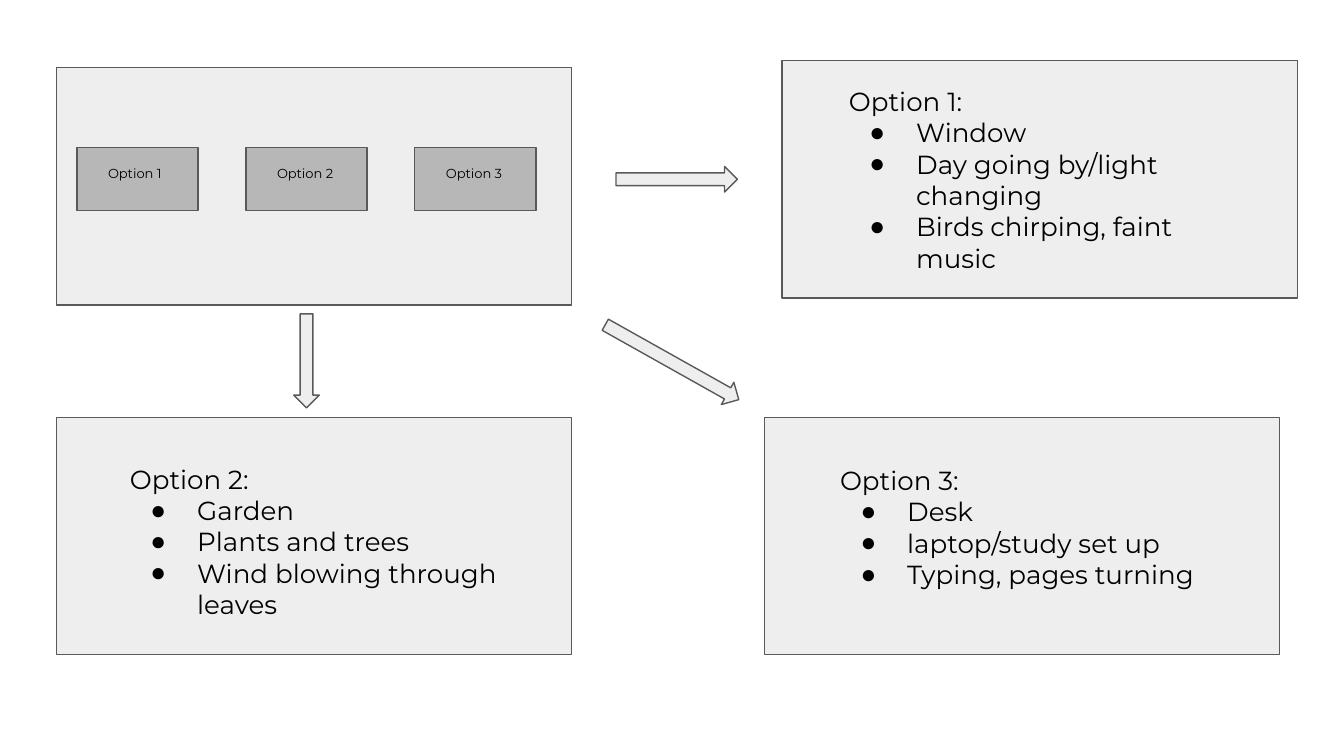
"""Build a slide that links a menu of three options to a panel for each one."""
import pptx
import pptx.util
import pptx.dml.color
import pptx.enum.shapes
import pptx.enum.text
import pptx.oxml.ns
import lxml.etree

Pt = pptx.util.Pt
KIND = pptx.enum.shapes.MSO_SHAPE
BLACK = pptx.dml.color.RGBColor(0x00, 0x00, 0x00)
PALE = pptx.dml.color.RGBColor(0xEE, 0xEE, 0xEE)
GRAY = pptx.dml.color.RGBColor(0xB7, 0xB7, 0xB7)
EDGE = pptx.dml.color.RGBColor(0x59, 0x59, 0x59)

deck = pptx.Presentation()
deck.slide_width = Pt(720)
deck.slide_height = Pt(405)
slide = deck.slides.add_slide(deck.slide_layouts.get_by_name("Comparison"))
holders = {item.placeholder_format.idx: item for item in slide.placeholders}
for spare in (0, 3):
    tag = holders[spare].element
    tag.getparent().remove(tag)


def draw(kind, left, top, width, height, fill, turn=0):
    shape = slide.shapes.add_shape(kind, Pt(left), Pt(top), Pt(width), Pt(height))
    shape.rotation = turn
    shape.shadow.inherit = False
    shape.fill.solid()
    shape.fill.fore_color.rgb = fill
    shape.line.color.rgb = EDGE
    shape.line.width = Pt(0.75)


def write(box, left, top, width, height, size, lines):
    box.left, box.top, box.width, box.height = Pt(left), Pt(top), Pt(width), Pt(height)
    frame = box.text_frame
    frame.word_wrap = True
    frame.auto_size = pptx.enum.text.MSO_AUTO_SIZE.SHAPE_TO_FIT_TEXT
    frame.vertical_anchor = pptx.enum.text.MSO_ANCHOR.TOP
    frame.margin_left = frame.margin_right = Pt(7.2)
    frame.margin_top = frame.margin_bottom = Pt(7.2)
    for rank, line in enumerate(lines):
        para = frame.add_paragraph() if rank else frame.paragraphs[0]
        para.space_before = Pt(0)
        props = para._p.get_or_add_pPr()
        props.set("marL", str(Pt(36 if rank else 0)))
        props.set("indent", str(Pt(-25 if rank else 0)))
        mark = "a:buChar" if rank else "a:buNone"
        bullet = lxml.etree.SubElement(props, pptx.oxml.ns.qn(mark))
        if rank:
            bullet.set("char", "●")
        run = para.add_run()
        run.text = line
        run.font.name = "Montserrat"
        run.font.size = Pt(size)
        run.font.bold = False
        run.font.color.rgb = BLACK


for left, top in ((419, 32.4), (30.3, 223.6), (409.6, 223.6), (30.3, 36.2)):
    draw(KIND.RECTANGLE, left, top, 276, 127.2, PALE)

for step in range(3):
    left = 41.2 + 90.5 * step
    draw(KIND.RECTANGLE, left, 79.2, 65, 33.8, GRAY)
    label = slide.shapes.add_textbox(0, 0, 0, 0)
    write(label, left + 9.6, 84.2, 45.5, 23, 7, [f"Option {step + 1}"])

for left, top, width, turn in (
    (330, 89.2, 65, 0),
    (319, 187.2, 82, 29.3),
    (139, 186.5, 50.4, 90),
):
    draw(KIND.RIGHT_ARROW, left, top, width, 13.7, PALE, turn)

panels = (
    (1, 447.6, 38.4, 212.4, 116.6,
     ["Option 1:", "Window", "Day going by/light changing", "Birds chirping, faint music"]),
    (2, 62.4, 240.8, 212.4, 99.4,
     ["Option 2:", "Garden", "Plants and trees", "Wind blowing through leaves"]),
    (4, 442.8, 241.6, 207.4, 82.1,
     ["Option 3:", "Desk", "laptop/study set up", "Typing, pages turning"]),
)
for key, left, top, width, height, lines in panels:
    body = holders[key]
    write(body, left, top, width, height, 14, lines)
    body.element.getparent().append(body.element)

deck.save("out.pptx")
